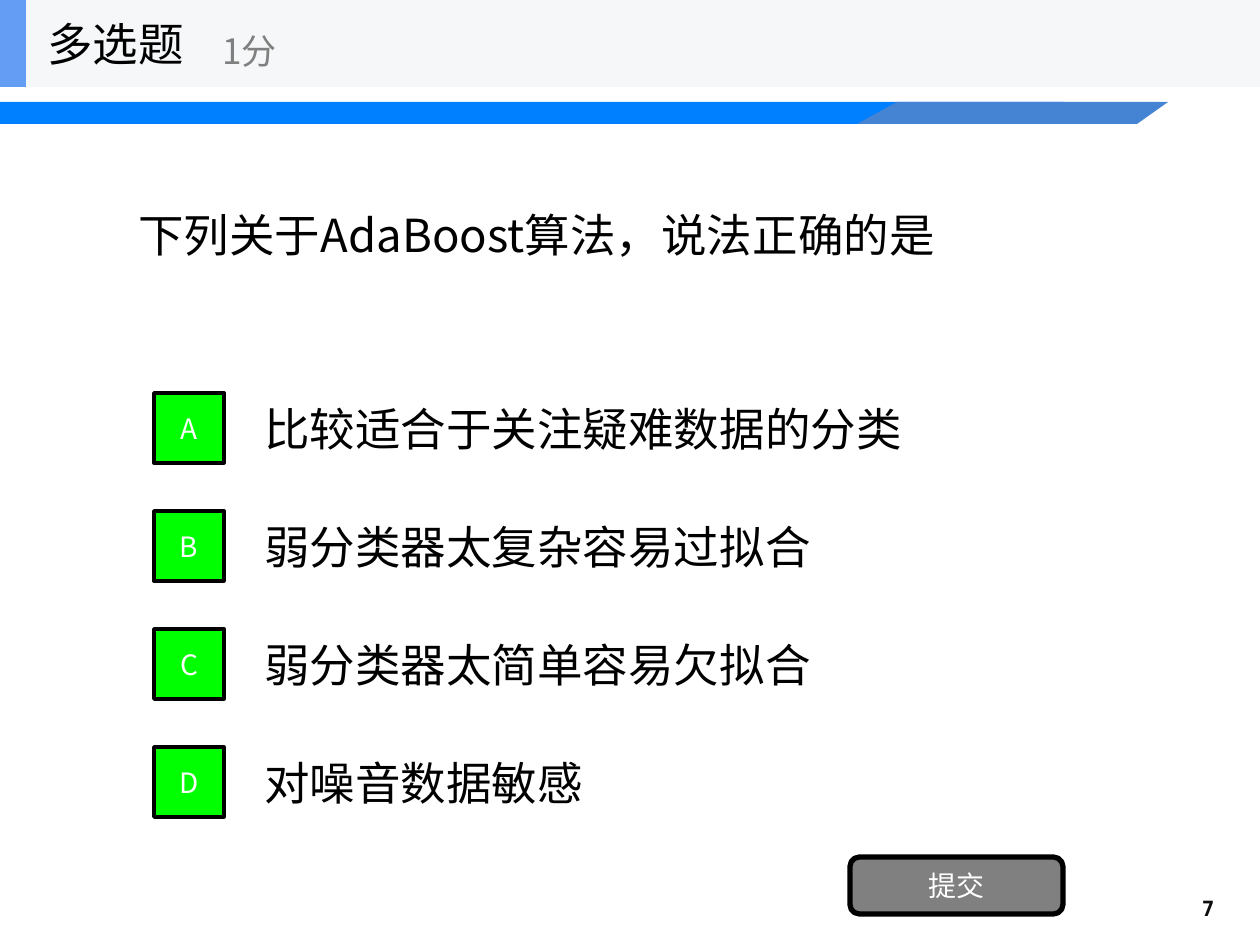
from lxml import etree
from pptx import Presentation
from pptx.dml.color import RGBColor
from pptx.enum.shapes import MSO_SHAPE
from pptx.enum.text import MSO_ANCHOR, PP_ALIGN
from pptx.oxml.ns import qn
from pptx.util import Pt

RECTANGLE, ROUNDED = MSO_SHAPE.RECTANGLE, MSO_SHAPE.ROUNDED_RECTANGLE
LEFT, CENTER, RIGHT = PP_ALIGN.LEFT, PP_ALIGN.CENTER, PP_ALIGN.RIGHT
MIDDLE = MSO_ANCHOR.MIDDLE

EMU_PER_PX = 914400 / 126
WIDTH, HEIGHT = 1260, 945
CJK_FONT, NUMBER_FONT = "Noto Sans CJK SC", "DejaVu Sans Mono"
COLORS = {
    "black": "000000", "white": "FFFFFF", "gray": "808080",
    "number": "0D0D0D", "option": "00FF00", "header": "F6F7F8",
    "accent": "639EF4", "stripe": "0080FF", "stripe_end": "4584D3",
}


def px(value):
    return round(value * EMU_PER_PX)


def color(name):
    return RGBColor.from_string(COLORS[name])


class QuizSlide:
    """Holds the style and the slide being built."""

    def __init__(self, presentation):
        self.slide = presentation.slides.add_slide(presentation.slide_layouts[6])

    def paint(self, shape, fill, line=None, line_width=0):
        shape.shadow.inherit = False
        shape.fill.solid()
        shape.fill.fore_color.rgb = color(fill)
        if line:
            shape.line.color.rgb = color(line)
            shape.line.width = Pt(line_width)
        else:
            shape.line.fill.background()

    def label(self, shape, text, size, ink, align=LEFT, font=CJK_FONT, bold=False):
        frame = shape.text_frame
        frame.word_wrap = True
        frame.vertical_anchor = MIDDLE
        paragraph = frame.paragraphs[0]
        paragraph.alignment = align
        run = paragraph.add_run()
        run.text = text
        run.font.color.rgb = color(ink)
        for name, value in {"size": Pt(size), "name": font, "bold": bold}.items():
            setattr(run.font, name, value)
        # East Asian characters take their font from a:ea
        properties = run._r.get_or_add_rPr()
        etree.SubElement(properties, qn("a:ea")).set("typeface", font)

    def box(self, kind, bounds, fill, line=None, line_width=0):
        shape = self.slide.shapes.add_shape(kind, *map(px, bounds))
        self.paint(shape, fill, line, line_width)
        return shape

    def outline(self, points, fill):
        builder = self.slide.shapes.build_freeform(*points[0], scale=EMU_PER_PX)
        builder.add_line_segments(points[1:], close=True)
        self.paint(builder.convert_to_shape(), fill)

    def text(self, bounds, text, size, ink, **style):
        shape = self.slide.shapes.add_textbox(*map(px, bounds))
        self.label(shape, text, size, ink, **style)

    def button(self, kind, bounds, text, fill, line_width):
        shape = self.box(kind, bounds, fill, "black", line_width)
        self.label(shape, text, 16, "white", align=CENTER)


def main():
    presentation = Presentation()
    presentation.slide_width, presentation.slide_height = px(WIDTH), px(HEIGHT)
    quiz = QuizSlide(presentation)

    # Stripe below the header, and page number
    quiz.box(RECTANGLE, (0, 102, 1064, 22), "stripe")
    quiz.outline([(857, 124), (1137, 124), (1168, 102), (897, 102)], "stripe_end")
    quiz.text((1149, 883, 78, 50), "7", 12, "number",
              align=RIGHT, font=NUMBER_FONT, bold=True)

    # Question
    quiz.text((126, 87, 1008, 295), "下列关于AdaBoost算法，说法正确的是", 26, "black")

    # Answer options
    options = {
        "A": "比较适合于关注疑难数据的分类",
        "B": "弱分类器太复杂容易过拟合",
        "C": "弱分类器太简单容易欠拟合",
        "D": "对噪音数据敏感",
    }
    first_top, pitch, row_height, letter_side = 384, 118, 88, 70
    for index, (letter, answer) in enumerate(options.items()):
        top = first_top + index * pitch
        letter_top = top + (row_height - letter_side) // 2
        quiz.text((252, top, 882, row_height), answer, 26, "black")
        quiz.button(RECTANGLE, (154, letter_top, letter_side, letter_side),
                    letter, "option", 2)

    # Submit button
    quiz.button(ROUNDED, (850, 857, 213, 57), "提交", "gray", 3)

    # Header
    quiz.box(RECTANGLE, (0, 0, WIDTH, 87), "header")
    quiz.box(RECTANGLE, (0, 0, 26, 87), "accent")
    quiz.text((35, 0, 262, 87), "多选题", 26, "black")
    quiz.text((210, 15, 315, 71), "1分", 20, "gray")

    presentation.save("out.pptx")


if __name__ == "__main__":
    main()
